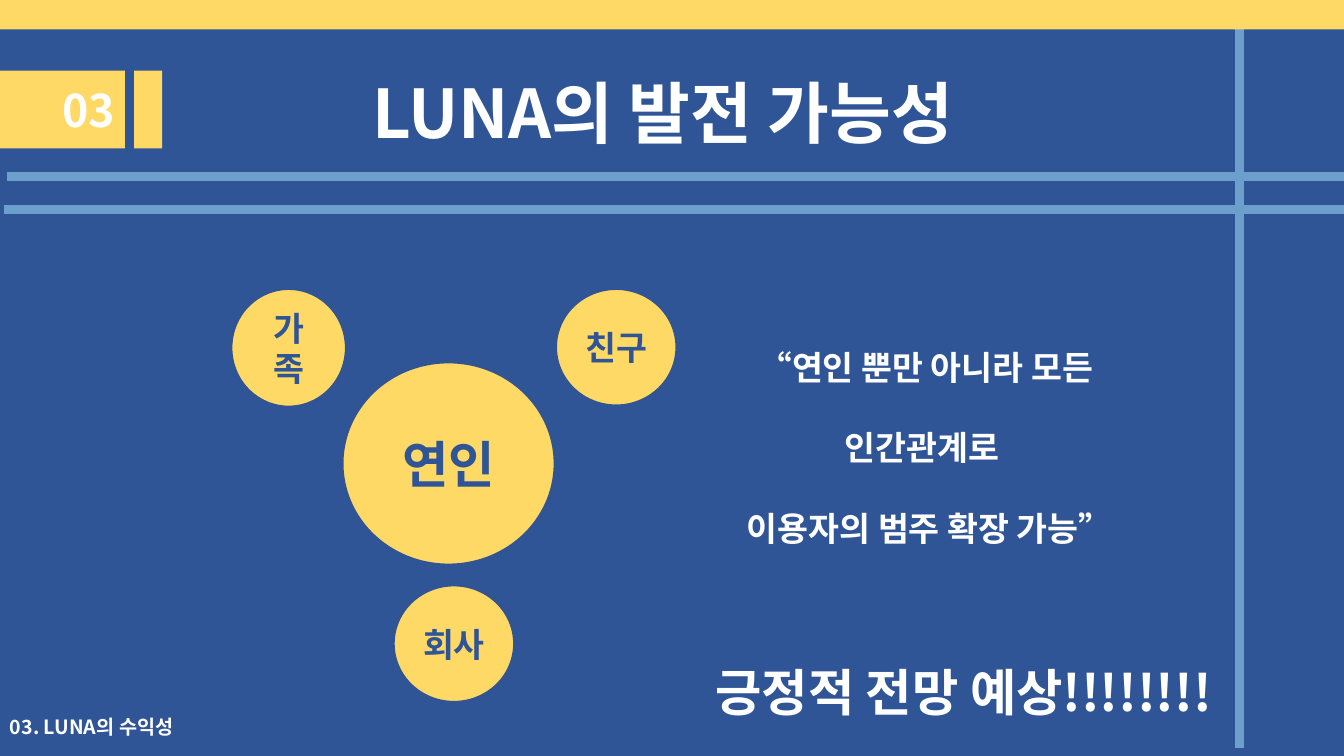
from lxml import etree
from pptx import Presentation
from pptx.dml.color import RGBColor
from pptx.enum.shapes import MSO_CONNECTOR, MSO_SHAPE
from pptx.enum.text import MSO_ANCHOR, MSO_AUTO_SIZE, PP_ALIGN
from pptx.oxml.ns import qn
from pptx.util import Cm, Pt

RECT, CIRCLE = MSO_SHAPE.RECTANGLE, MSO_SHAPE.FLOWCHART_CONNECTOR
STRAIGHT = MSO_CONNECTOR.STRAIGHT
CENTER, RIGHT = PP_ALIGN.CENTER, PP_ALIGN.RIGHT
MIDDLE, GROW = MSO_ANCHOR.MIDDLE, MSO_AUTO_SIZE.SHAPE_TO_FIT_TEXT

FONT = "Noto Sans CJK KR"
COLORS = {"blue": "2F5597", "yellow": "FFD966", "rule": "6C9FCC",
          "outline": "325491", "white": "FFFFFF"}
WIDTH, HEIGHT = 33.87, 19.05

# Lengths in cm; lines run from (x, y) to (x, y)
RULES = [(0.18, 4.45, WIDTH, 4.45), (0.1, 5.28, WIDTH, 5.28),
         (31.24, 0, 31.24, 18.85)]
TOP_BAR = (0, 0, WIDTH, 0.74)
NUMBER_ACCENT = (3.38, 1.78, 0.71, 1.96)
NUMBER_TAG = (0, 1.78, 3.15, 1.96)
NUMBER = "03"

# Text, size in points, place
RELATIONS = [
    ("연인", 36, (8.64, 9.14, 5.33, 5.08)),
    ("회사", 24, (9.93, 14.76, 3.02, 2.92)),
    ("친구", 24, (14.02, 7.29, 3.02, 2.92)),
    ("가족", 24, (5.84, 7.29, 2.87, 2.95)),
]
# Paragraphs, size in points, line spacing, place
TEXTS = [
    (["LUNA의 발전 가능성"], 48, 1.0, (7.95, 1.68, 17.5, 2.31)),
    (["“연인 뿐만 아니라 모든 인간관계로 ", " 이용자의 범주 확장 가능”"],
     24, 2.0, (17.07, 7.59, 12.52, 4.09)),
    (["긍정적 전망 예상!!!!!!!!"], 36, 2.0, (17.07, 15.01, 14.43, 2.92)),
    (["03. LUNA의 수익성"], 14, 1.0, (-1.6, 17.88, 7.82, 0.86)),
]


def color(name):
    return RGBColor.from_string(COLORS[name])


def lengths(values):
    return [Cm(value) for value in values]


def write(box, lines, size, ink, align=CENTER, spacing=1.0):
    frame = box.text_frame
    frame.word_wrap = True
    for index, line in enumerate(lines):
        para = frame.add_paragraph() if index else frame.paragraphs[0]
        para.alignment = align
        para.line_spacing = spacing
        span = para.add_run()
        span.text = line
        for name, value in {"size": Pt(size), "bold": True, "name": FONT}.items():
            setattr(span.font, name, value)
        span.font.color.rgb = color(ink)
        # Hangul takes its typeface from the East Asian font
        etree.SubElement(span.font._element, qn("a:ea"), typeface=FONT)


def add_yellow(shapes, kind, place, outline=None):
    shape = shapes.add_shape(kind, *lengths(place))
    shape.shadow.inherit = False
    shape.fill.solid()
    shape.fill.fore_color.rgb = color("yellow")
    if outline:
        shape.line.color.rgb = color(outline)
        shape.line.width = Pt(1)
    else:
        shape.line.fill.background()
    shape.text_frame.vertical_anchor = MIDDLE
    return shape


def add_rule(page, ends):
    rule = page.shapes.add_connector(STRAIGHT, *lengths(ends))
    rule.line.color.rgb = color("rule")
    rule.line.width = Pt(6)
    etree.SubElement(rule._element.spPr, qn("a:effectLst"))


def main():
    deck = Presentation()
    deck.slide_width, deck.slide_height = Cm(WIDTH), Cm(HEIGHT)
    page = deck.slides.add_slide(deck.slide_layouts[6])
    page.background.fill.solid()
    page.background.fill.fore_color.rgb = color("blue")

    for ends in RULES:
        add_rule(page, ends)
    add_yellow(page.shapes, RECT, TOP_BAR)

    badge = page.shapes.add_group_shape()
    add_yellow(badge.shapes, RECT, NUMBER_ACCENT)
    tag = add_yellow(badge.shapes, RECT, NUMBER_TAG)
    write(tag, [NUMBER], 32, "white", RIGHT)

    for label, size, place in RELATIONS:
        circle = add_yellow(page.shapes, CIRCLE, place, "outline")
        write(circle, [label], size, "blue")

    for lines, size, spacing, place in TEXTS:
        box = page.shapes.add_textbox(*lengths(place))
        write(box, lines, size, "white", spacing=spacing)
        box.text_frame.auto_size = GROW

    deck.save("out.pptx")


if __name__ == "__main__":
    main()
